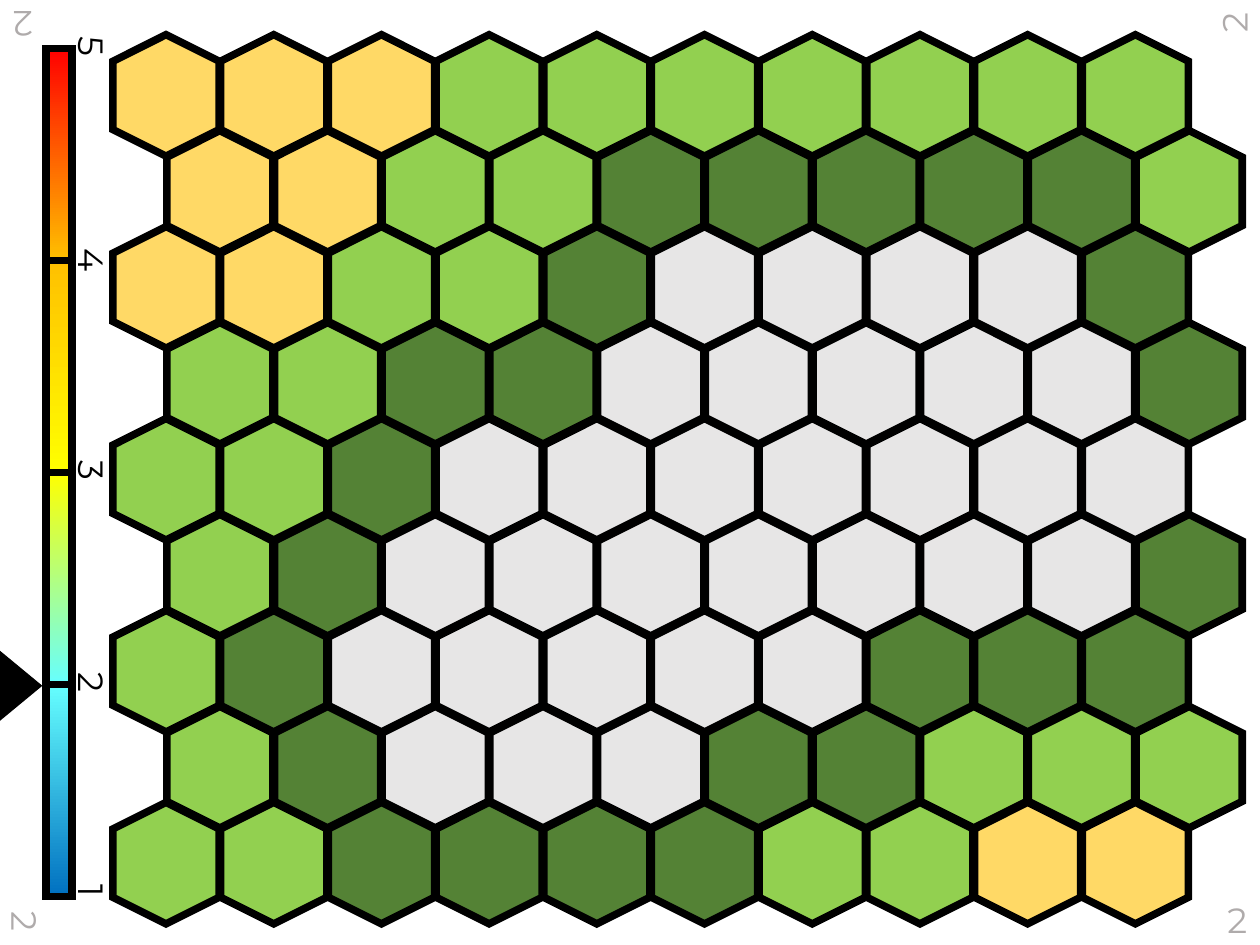
"""Build a hexagon terrain map with a vertical level gauge."""
from copy import deepcopy

from lxml.etree import SubElement
from pptx import Presentation
from pptx.dml.color import RGBColor
from pptx.enum.shapes import MSO_CONNECTOR as Connector, MSO_SHAPE as Shape
from pptx.enum.text import MSO_AUTO_SIZE as AutoSize
from pptx.oxml.ns import qn
from pptx.util import Inches, Pt

COLORS = {
    "sand": "FFD966", "grass": "92D050", "forest": "548235", "snow": "E7E6E6",
    "black": "000000", "gray": "AFABAB",
}
HEAT = [(0, "FF0000"), (0.25, "FFC000"), (0.5, "FFFF00"), (0.75, "66FFFF"), (1, "0070C0")]
TERRAIN = {"s": "sand", "g": "grass", "f": "forest", "w": "snow"}
MAP_ROWS = [
    "sssggggggg",
    "ssggfffffg",
    "ssggfwwwwf",
    "ggffwwwwwf",
    "ggfwwwwwww",
    "gfwwwwwwwf",
    "gfwwwwwfff",
    "gfwwwffggg",
    "ggffffggss",
]
HEX_PITCH, ROW_PITCH = 10.77 / 9, 8.53 / 8
BAR_LEFT, BAR_TOP, BAR_WIDTH, BAR_HEIGHT = 0.51, 0.54, 0.29, 9.42
LEVEL_STEP = BAR_HEIGHT / 4
CORNERS = [(0.05, 9.98, 90), (13.54, 9.93, 0), (13.48, -0.06, 270), (0, 0, 180)]


def write_text(frame, text, *, font="Montserrat", size=28, color="black"):
    """Fill a text frame with one formatted run."""
    run = frame.paragraphs[0].add_run()
    run.text = text
    run.font.name = font
    run.font.size = Pt(size)
    run.font.color.rgb = RGBColor.from_string(COLORS[color])


class MapSlide:
    """Hold the outline style and the slide being drawn."""

    def __init__(self, slide, outline="black", weight=6):
        """Keep the slide and its shared outline."""
        self.slide = slide
        self.outline = RGBColor.from_string(COLORS[outline])
        self.weight = weight

    def stroke(self, line, weight=None):
        """Apply the shared outline with sharp corners."""
        line.color.rgb = self.outline
        line.width = Pt(weight or self.weight)

    def shape(self, kind, left, top, width, height, color=None, rotation=0, weight=None):
        """Add an outlined preset shape."""
        outlined = self.slide.shapes.add_shape(
            kind, Inches(left), Inches(top), Inches(width), Inches(height))
        outlined.rotation = rotation
        outlined.shadow.inherit = False
        self.stroke(outlined.line, weight)
        SubElement(outlined.element.spPr.find(qn("a:ln")), qn("a:miter"), lim="800000")
        if color:
            outlined.fill.solid()
            outlined.fill.fore_color.rgb = RGBColor.from_string(COLORS[color])
        return outlined

    def gauge(self, left, top, width, height, stops):
        """Add a bar with a top-to-bottom gradient."""
        bar = self.shape(Shape.RECTANGLE, left, top, width, height)
        bar.fill.gradient()
        bar.fill.gradient_angle = 270
        stop_list = bar.element.spPr.find(qn("a:gradFill")).find(qn("a:gsLst"))
        while len(stop_list) < len(stops):
            stop_list.append(deepcopy(stop_list[0]))
        for stop, (position, color) in zip(bar.fill.gradient_stops, stops):
            stop.position = position
            stop.color.rgb = RGBColor.from_string(color)
        return bar

    def tick(self, left, right, y):
        """Add a horizontal tick mark."""
        mark = self.slide.shapes.add_connector(
            Connector.STRAIGHT, Inches(left), Inches(y), Inches(right), Inches(y))
        self.stroke(mark.line)
        SubElement(mark.element.spPr, qn("a:effectLst"))
        return mark

    def label(self, text, left, top, rotation=0, color="black"):
        """Add a rotated single-digit label."""
        box = self.slide.shapes.add_textbox(
            Inches(left), Inches(top), Inches(0.46), Inches(0.57))
        box.rotation = rotation
        box.text_frame.word_wrap = False
        box.text_frame.auto_size = AutoSize.SHAPE_TO_FIT_TEXT
        write_text(box.text_frame, text, color=color)


def main():
    """Draw the map, the gauge and the corner numbers."""
    deck = Presentation()
    deck.slide_width, deck.slide_height = Inches(14), Inches(10.5)
    board = MapSlide(deck.slides.add_slide(deck.slide_layouts[6]))

    for row, cells in enumerate(MAP_ROWS):
        row_left = 1.17 + row % 2 * HEX_PITCH / 2
        for column, terrain in enumerate(cells):
            board.shape(Shape.HEXAGON, row_left + column * HEX_PITCH,
                        0.47 + row * ROW_PITCH, 1.35, 1.18, TERRAIN[terrain], rotation=270)

    bar = board.gauge(BAR_LEFT, BAR_TOP, BAR_WIDTH, BAR_HEIGHT, HEAT)
    for level in (4, 3, 2):
        mark = board.tick(BAR_LEFT, BAR_LEFT + BAR_WIDTH, BAR_TOP + (5 - level) * LEVEL_STEP)
        if level == 3:
            mark.begin_connect(bar, 1)
            mark.end_connect(bar, 3)
    board.shape(Shape.ISOSCELES_TRIANGLE, -0.15, 7.39, 0.76, 0.46, "black",
                rotation=90, weight=1)
    for level in range(1, 6):
        board.label(str(level), 0.79, 0.25 + (5 - level) * LEVEL_STEP, rotation=90)
    for left, top, rotation in CORNERS:
        board.label("2", left, top, rotation, "gray")

    deck.save("out.pptx")


if __name__ == "__main__":
    main()
